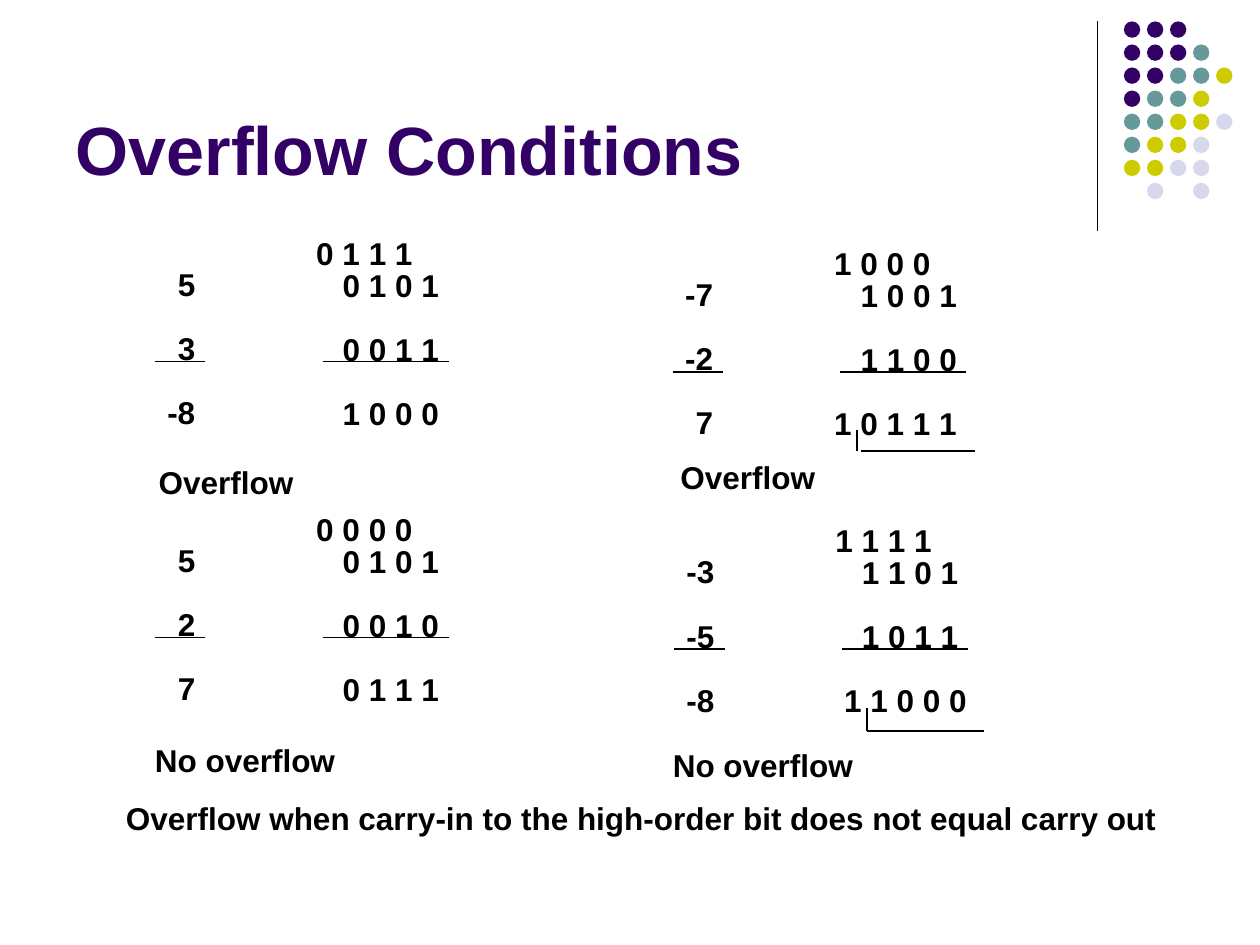
from dataclasses import dataclass

from lxml import etree
from pptx import Presentation
from pptx.dml.color import RGBColor
from pptx.enum.shapes import MSO_CONNECTOR, MSO_SHAPE
from pptx.enum.text import MSO_ANCHOR, PP_ALIGN
from pptx.oxml.ns import qn
from pptx.slide import Slide
from pptx.util import Inches, Pt

ELLIPSE = MSO_SHAPE.OVAL
STRAIGHT = MSO_CONNECTOR.STRAIGHT
LEFT, RIGHT = PP_ALIGN.LEFT, PP_ALIGN.RIGHT
TOP, BOTTOM = MSO_ANCHOR.TOP, MSO_ANCHOR.BOTTOM


@dataclass(frozen=True)
class Theme:
    font: str = "Arial"
    title_size: float = 39
    body_size: float = 18
    line_spacing: float = 0.85
    blank_line: float = 18.3
    ink: str = "000000"
    purple: str = "330066"
    teal: str = "669999"
    olive: str = "CCCC00"
    lavender: str = "D8D8EC"


@dataclass(frozen=True)
class Line:
    text: str
    indent: float = 0
    gap: float = 0


@dataclass(frozen=True)
class Hook:
    """Mark that separates the carry-out from the sum."""
    x: float
    top: float
    bottom: float
    start: float
    end: float


@dataclass(frozen=True)
class Addition:
    left: float
    top: float
    decimals: tuple[str, str, str]
    carries: str
    addends: tuple[str, str]
    total: str
    total_indent: float
    verdict: str
    verdict_at: tuple[float, float]
    hook: Hook | None = None


THEME = Theme()
DIGIT_INDENT = 0.21
ADDITIONS = [
    Addition(1.23, 1.87, ("5", "3", "-8"), "0 1 1 1", ("0 1 0 1", "0 0 1 1"),
             "1 0 0 0", DIGIT_INDENT, "Overflow", (1.19, 3.69)),
    Addition(5.34, 1.95, ("-7", "-2", "7"), "1 0 0 0", ("1 0 0 1", "1 1 0 0"),
             "1 0 1 1 1", 0, "Overflow", (5.33, 3.65),
             Hook(6.8, 3.41, 3.58, 6.83, 7.74)),
    Addition(1.23, 4.06, ("5", "2", "7"), "0 0 0 0", ("0 1 0 1", "0 0 1 0"),
             "0 1 1 1", DIGIT_INDENT, "No overflow", (1.16, 5.9)),
    Addition(5.35, 4.15, ("-3", "-5", "-8"), "1 1 1 1", ("1 1 0 1", "1 0 1 1"),
             "1 1 0 0 0", 0.07, "No overflow", (5.27, 5.94),
             Hook(6.88, 5.62, 5.8, 6.88, 7.81)),
]
DOT_ROWS = ["PPP", "PPPT", "PPTTO", "PTTO", "TTOOL", "TOOL", "OOLL", " L L"]
DOT_COLORS = {"P": THEME.purple, "T": THEME.teal, "O": THEME.olive, "L": THEME.lavender}


def add_span(para, text: str, size: float, color: str) -> None:
    span = para.add_run()
    span.text = text
    span.font.name = THEME.font
    span.font.size = Pt(size)
    span.font.bold = True
    span.font.color.rgb = RGBColor.from_string(color)


def add_text(page: Slide, left: float, top: float, width: float, height: float,
             lines: list[Line], align=LEFT) -> None:
    box = page.shapes.add_textbox(Inches(left), Inches(top), Inches(width), Inches(height))
    frame = box.text_frame
    frame.word_wrap = True
    frame.vertical_anchor = TOP
    frame.margin_left = frame.margin_right = Inches(0.07)
    frame.margin_top = frame.margin_bottom = Inches(0.03)
    for index, line in enumerate(lines):
        para = frame.add_paragraph() if index else frame.paragraphs[0]
        para.alignment = align
        para.line_spacing = THEME.line_spacing
        para.space_before = Pt(line.gap)
        if line.indent:
            para._p.get_or_add_pPr().set("marL", str(Inches(line.indent)))
        add_span(para, line.text, THEME.body_size, THEME.ink)


def add_rule(page: Slide, x1: float, y1: float, x2: float, y2: float, weight: float = 1) -> None:
    rule = page.shapes.add_connector(STRAIGHT, Inches(x1), Inches(y1), Inches(x2), Inches(y2))
    rule.line.color.rgb = RGBColor.from_string(THEME.ink)
    rule.line.width = Pt(weight)
    etree.SubElement(rule._element.spPr, qn("a:effectLst"))


def add_dots(page: Slide) -> None:
    left, top, pitch, size = 8.92, 0.17, 0.183, 0.13
    for row, codes in enumerate(DOT_ROWS):
        for column, code in enumerate(codes):
            if code not in DOT_COLORS:
                continue
            dot = page.shapes.add_shape(ELLIPSE, Inches(left + column * pitch),
                                        Inches(top + row * pitch), Inches(size), Inches(size))
            dot.shadow.inherit = False
            dot.fill.solid()
            dot.fill.fore_color.rgb = RGBColor.from_string(DOT_COLORS[code])
            dot.line.fill.background()


def set_title(page: Slide, text: str) -> None:
    title = page.shapes.title
    title.left, title.top = Inches(0.5), Inches(0.13)
    title.width, title.height = Inches(8.25), Inches(1.42)
    title.text_frame.vertical_anchor = BOTTOM
    para = title.text_frame.paragraphs[0]
    para.alignment = LEFT
    add_span(para, text, THEME.title_size, THEME.purple)


def add_addition(page: Slide, sample: Addition) -> None:
    left, top, gap = sample.left, sample.top, THEME.blank_line
    first, *others = sample.decimals
    add_text(page, left - 0.01, top + 0.25, 0.4, 1.33,
             [Line(first)] + [Line(number, gap=gap) for number in others], RIGHT)
    augend, addend = sample.addends
    add_text(page, left + 1.21, top, 1.2, 1.59, [
        Line(sample.carries),
        Line(augend, DIGIT_INDENT),
        Line(addend, DIGIT_INDENT, gap),
        Line(sample.total, sample.total_indent, gap),
    ])
    for start, end in ((0, 0.4), (1.33, 2.33)):
        add_rule(page, left + start, top + 1, left + end, top + 1)
    hook = sample.hook
    if hook:
        add_rule(page, hook.x, hook.top, hook.x, hook.bottom)
        add_rule(page, hook.start, hook.bottom, hook.end, hook.bottom)
    add_text(page, *sample.verdict_at, 1.6, 0.31, [Line(sample.verdict)])


def main() -> None:
    deck = Presentation()
    deck.slide_width, deck.slide_height = Inches(10), Inches(7.5)
    page = deck.slides.add_slide(deck.slide_layouts[5])
    add_rule(page, 8.71, 0.17, 8.71, 1.83, 0.75)
    add_dots(page)
    set_title(page, "Overflow Conditions")
    for sample in ADDITIONS:
        add_addition(page, sample)
    add_text(page, 0.93, 6.36, 8.36, 0.31, [
        Line("Overflow when carry-in to the high-order bit does not equal carry out")])
    deck.save("out.pptx")


if __name__ == "__main__":
    main()
